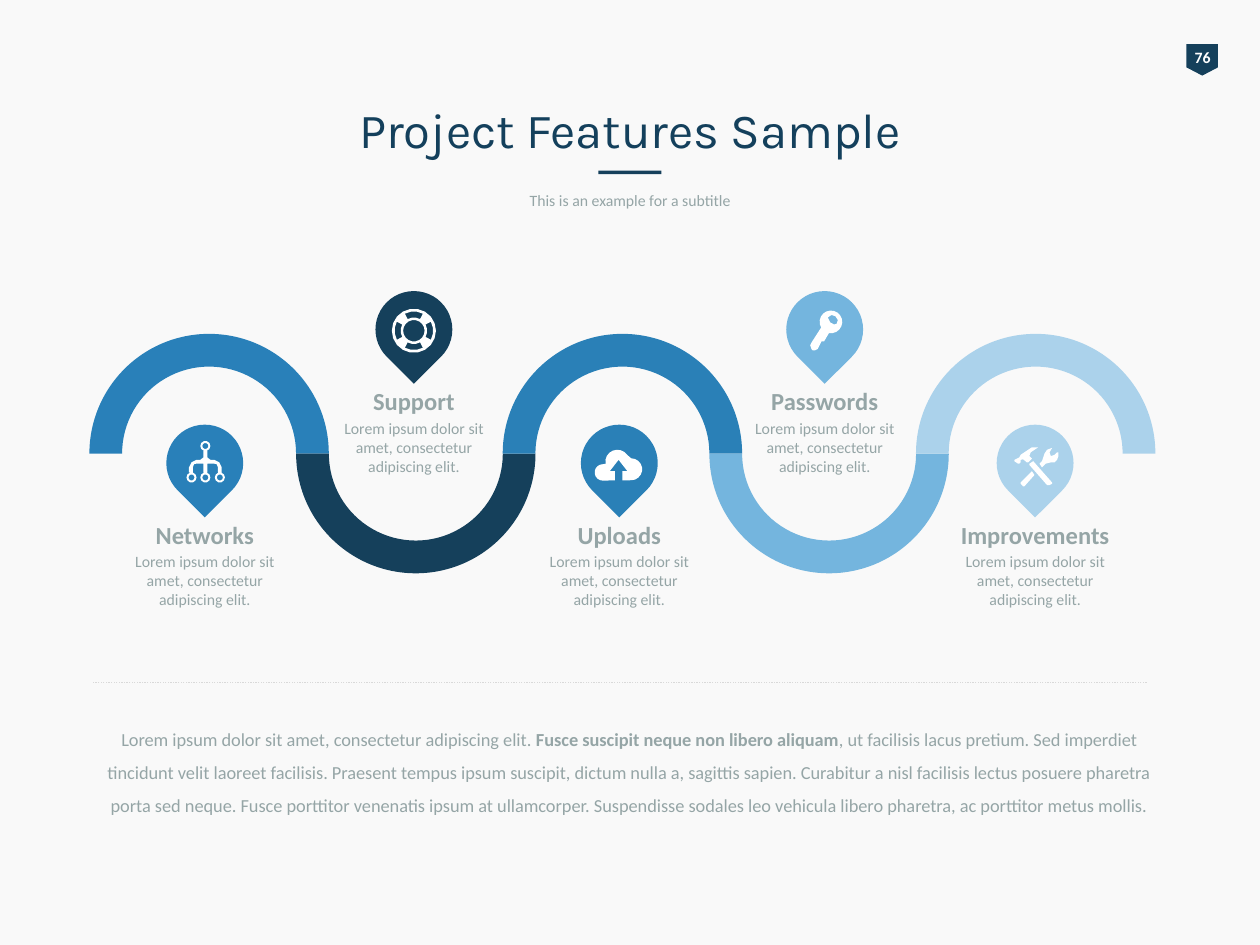
"""Build the project features slide: a wave of five arches with map pins."""
import math

import pptx
import pptx.util
from lxml import etree
from pptx.dml.color import RGBColor
from pptx.enum.dml import MSO_LINE
from pptx.enum.shapes import MSO_CONNECTOR, MSO_SHAPE
from pptx.enum.text import MSO_ANCHOR, PP_ALIGN
from pptx.oxml.ns import qn
from pptx.util import Pt

BACKGROUND = RGBColor(0xF9, 0xF9, 0xF9)
WHITE = RGBColor(0xFF, 0xFF, 0xFF)
GRAY = RGBColor(0x95, 0xA5, 0xA6)
RULE_GRAY = RGBColor(0xD9, 0xD9, 0xD9)
NAVY = RGBColor(0x15, 0x40, 0x5B)
TITLE_NAVY = RGBColor(0x14, 0x40, 0x5C)
BLUE = RGBColor(0x29, 0x80, 0xB9)
MID_BLUE = RGBColor(0x2A, 0x80, 0xB7)
SKY = RGBColor(0x74, 0xB5, 0xDE)
PALE = RGBColor(0xAB, 0xD2, 0xEB)

BLURB = "Lorem ipsum dolor sit amet, consectetur adipiscing elit."
SUMMARY = [
    (BLURB + " ", False),
    ("Fusce suscipit neque non libero aliquam", True),
    (", ut facilisis lacus pretium. Sed imperdiet tincidunt velit laoreet "
     "facilisis. Praesent tempus ipsum suscipit, dictum nulla a, sagittis "
     "sapien. Curabitur a nisl facilisis lectus posuere pharetra porta sed "
     "neque. Fusce porttitor venenatis ipsum at ullamcorper. Suspendisse "
     "sodales leo vehicula libero pharetra, ac porttitor metus mollis.", False),
]

BRANCH = [(13.5, 8), (13.5, 13), (11, 15), (8, 15), (4, 17), (2, 21), (2, 25),
          (5, 25), (5, 21), (6, 18.5), (8, 18), (13.5, 18), (13.5, 25)]
NODES = [(15, 4), (4, 29), (15, 29), (26.5, 29)]
NETWORK = [BRANCH + [(30 - x, y) for x, y in reversed(BRANCH)]] + [
    [(x, y, radius, 0, 360)] for x, y in NODES for radius in (4, 2.4)]
LIFEBUOY = [[(17.5, 17.5, radius, 0, 360)] for radius in (17.5, 8.5)] + [
    [(17.5, 17.5, 15.3, a - 28, a + 28), (17.5, 17.5, 10.5, a + 28, a - 28)]
    for a in (0, 90, 180, 270)]
CLOUD = [[(6.5, 18, 6.5, 90, 270), (18, 9.5, 9.5, 170, 325),
          (29, 15.5, 8.7, 270, 450), (22, 24.3), (22, 17), (26, 17), (19, 8),
          (12, 17), (16, 17), (16, 24.3)]]
KEY = [[(16.5, 9.5, 9, 100, -210), (1, 26), (0, 28), (1, 31), (2, 32), (4, 32),
        (6, 31), (9, 25), (11, 25)],
       [(21, 11), (19, 11.5), (16, 10), (14, 6), (17, 4), (20, 5), (22, 8)]]
TOOLS = [
    [(5, 10), (7, 9.5), (10, 12), (11, 12), (14, 9), (12, 7), (13, 4), (19, 0),
     (14, 0), (8, 4), (5, 6), (4, 8), (2, 9), (0, 10), (0, 11), (3, 13),
     (4, 13), (5, 12)],
    [(15, 11), (12, 13), (12, 14), (26, 30), (28, 30), (30, 29), (30, 28)],
    [(35, 4), (34, 4), (32, 6), (29, 7), (28, 4), (30, 0.5), (26, 2), (24, 5),
     (22, 11), (20, 13), (22, 16), (25, 13), (29, 12), (32, 12), (34, 10),
     (35, 7)],
    [(5, 28), (5, 29), (7, 31), (8, 31), (16, 22), (14, 19)],
]

PIN_LOW, PIN_HIGH, PIN_SIZE = 242.64, 166.32, 43.92
FEATURES = [
    ("Networks", BLUE, 117, PIN_LOW, NETWORK, (106.56, 252)),
    ("Support", NAVY, 236.52, PIN_HIGH, LIFEBUOY, (223.92, 176.4)),
    ("Uploads", MID_BLUE, 353.88, PIN_LOW, CLOUD, (339.84, 257.04)),
    ("Passwords", SKY, 471.24, PIN_HIGH, KEY, (462.96, 177.12)),
    ("Improvements", PALE, 591.48, PIN_LOW, TOOLS, (579.6, 255.6)),
]
ICON_UNIT = 0.72
LABEL_WIDTH, LABEL_HEIGHT, LABEL_DROP = 111.6, 62.64, 50.76
WAVE_LEFT, WAVE_TOP, WAVE_STEP = 51.12, 190.8, 118.08
ARCH_SIZE, ARCH_BAND = 136.8, 18.7


def paint(shape, color):
    shape.shadow.inherit = False
    shape.fill.solid()
    shape.fill.fore_color.rgb = color
    shape.line.fill.background()


def add_preset(slide, kind, box, color, rotation=0):
    shape = slide.shapes.add_shape(kind, *map(Pt, box))
    shape.rotation = rotation
    paint(shape, color)
    return shape


def trace(contour):
    points = []
    for item in contour:
        if len(item) == 2:
            points.append(item)
            continue
        cx, cy, radius, start, end = item
        steps = math.ceil(abs(end - start) / (36 if radius < 6 else 20))
        for step in range(steps + 1):
            angle = math.radians(start + (end - start) * step / steps)
            points.append((cx + radius * math.cos(angle),
                           cy + radius * math.sin(angle)))
    return points


def add_icon(slide, contours, left, top):
    builder = None
    for contour in contours:
        first, *rest = [(Pt(left + x * ICON_UNIT), Pt(top + y * ICON_UNIT))
                        for x, y in trace(contour)]
        if builder is None:
            builder = slide.shapes.build_freeform(*first)
        else:
            builder.move_to(*first)
        builder.add_line_segments(rest, close=True)
    paint(builder.convert_to_shape(), WHITE)


def add_text(slide, box, paragraphs, wrap=True, anchor=MSO_ANCHOR.TOP, line_spacing=None):
    frame = slide.shapes.add_textbox(*map(Pt, box)).text_frame
    frame.word_wrap = wrap
    frame.vertical_anchor = anchor
    for index, (runs, size, color, bold, font) in enumerate(paragraphs):
        paragraph = frame.add_paragraph() if index else frame.paragraphs[0]
        paragraph.alignment = PP_ALIGN.CENTER
        paragraph.line_spacing = line_spacing
        if index:
            paragraph.space_before = Pt(size * 0.2)
        paragraph.font.size = Pt(size)
        paragraph.font.name = font
        paragraph.font.color.rgb = color
        paragraph.font.bold = bold
        for text, strong in runs:
            run = paragraph.add_run()
            run.text = text
            if strong:
                run.font.bold = True


def line_of(text, size, color=GRAY, bold=False, font="Calibri"):
    return [(text, False)], size, color, bold, font


def main():
    deck = pptx.Presentation()
    deck.slide_width, deck.slide_height = Pt(720), Pt(540)
    slide = deck.slides.add_slide(deck.slide_layouts[6])
    slide.background.fill.solid()
    slide.background.fill.fore_color.rgb = BACKGROUND

    badge = add_preset(slide, MSO_SHAPE.PENTAGON, (678, 25.2, 18, 18), NAVY, 90)
    badge.adjustments[0] = 0.26
    add_text(slide, (675.36, 23.76, 23.76, 13.68), [line_of("76", 9, WHITE, True)], wrap=False)
    add_text(slide, (36, 58.32, 648, 30.96),
             [line_of("Project Features Sample", 28, TITLE_NAVY, font="Karla")],
             anchor=MSO_ANCHOR.MIDDLE)
    add_text(slide, (36, 105.5, 648, 13.68), [line_of("This is an example for a subtitle", 9)])
    add_preset(slide, MSO_SHAPE.RECTANGLE, (342, 97.56, 36, 2), NAVY)

    for index, (name, color, center, pin_top, icon, corner) in enumerate(FEATURES):
        add_preset(slide, MSO_SHAPE.TEAR,
                   (center - PIN_SIZE / 2, pin_top, PIN_SIZE, PIN_SIZE), color, 135)
        add_icon(slide, icon, *corner)
        add_text(slide, (center - LABEL_WIDTH / 2, pin_top + LABEL_DROP,
                         LABEL_WIDTH, LABEL_HEIGHT),
                 [line_of(name, 14, bold=True), line_of(BLURB, 9)])
        arch = add_preset(slide, MSO_SHAPE.BLOCK_ARC,
                          (WAVE_LEFT + index * WAVE_STEP, WAVE_TOP, ARCH_SIZE, ARCH_SIZE),
                          color, 180 * (index % 2))
        arch.adjustments[2] = ARCH_BAND / ARCH_SIZE

    add_text(slide, (47.52, 406.08, 624.24, 85.68),
             [(SUMMARY, 10.5, GRAY, False, "Calibri")], line_spacing=1.5)
    divider = slide.shapes.add_connector(
        MSO_CONNECTOR.STRAIGHT, Pt(655.2), Pt(390), Pt(52.56), Pt(390))
    divider.line.color.rgb = RULE_GRAY
    divider.line.width = Pt(0.75)
    divider.line.dash_style = MSO_LINE.ROUND_DOT
    etree.SubElement(divider._element.spPr, qn("a:effectLst"))

    deck.save("out.pptx")


if __name__ == "__main__":
    main()
